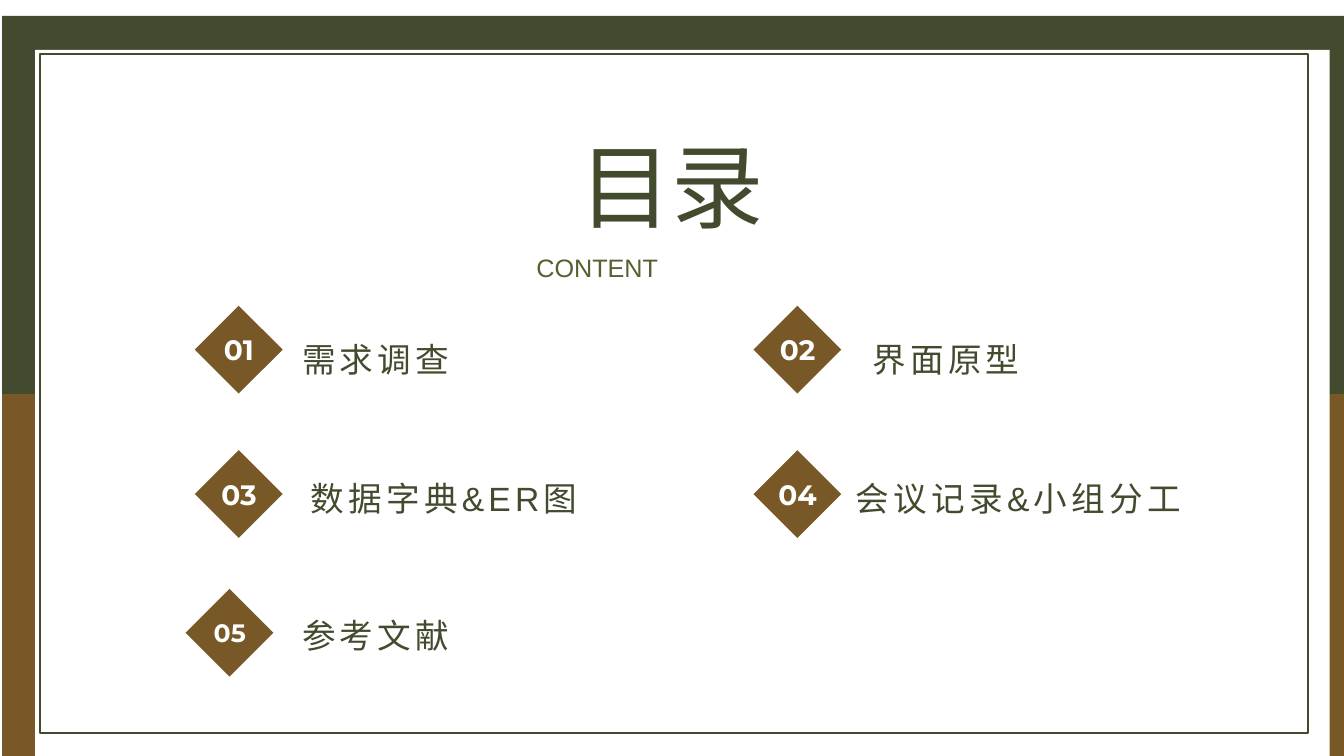
from collections import namedtuple

from lxml import etree
from pptx import Presentation
from pptx.dml.color import RGBColor
from pptx.enum.shapes import MSO_SHAPE
from pptx.enum.text import MSO_ANCHOR, MSO_AUTO_SIZE, PP_ALIGN
from pptx.oxml.ns import qn
from pptx.util import Inches, Pt

RECTANGLE, DIAMOND = MSO_SHAPE.RECTANGLE, MSO_SHAPE.DIAMOND
LEFT, CENTER, JUSTIFY = PP_ALIGN.LEFT, PP_ALIGN.CENTER, PP_ALIGN.JUSTIFY
TOP, MIDDLE = MSO_ANCHOR.TOP, MSO_ANCHOR.MIDDLE
GROW, FIXED = MSO_AUTO_SIZE.SHAPE_TO_FIT_TEXT, MSO_AUTO_SIZE.NONE

GREEN, BROWN, WHITE, OLIVE = "434B2F", "795827", "FFFFFF", "576031"
LATIN, HAN, NUMERAL = "Arial", "Noto Sans CJK SC", "Montserrat"
GRID_COLUMNS, GRID_ROWS = 160, 90
BADGE = 10.45
ENTRY_COLUMNS = (0, 66.5)
ENTRY_ROWS = (0, 17.2, 33.7)
LABEL_DROPS = (3.3, 2.7, 2.5)

Box = namedtuple("Box", "left top width height")
Entry = namedtuple("Entry", "number column row label indent width shift size")

ENTRIES = (
    Entry("01", 0, 0, [("需求调查", HAN)], 11.6, 45.5, 0, 20),
    Entry("02", 1, 0, [("界面原型", HAN)], 13, 45.5, 0, 20),
    Entry("03", 0, 1, [("数据字典", HAN), ("&ER", LATIN), ("图", HAN)], 12.6, 45.5, 0, 20),
    Entry("04", 1, 1, [("会议记录", HAN), ("&", LATIN), ("小组分工", HAN)], 11, 45.5, 0, 20),
    Entry("05", 0, 2, [("参考文献", HAN)], 12.7, 34, -1.1, 18),
)

deck = Presentation()
deck.slide_width, deck.slide_height = Inches(13.33), Inches(7.5)
page = deck.slides.add_slide(deck.slide_layouts[6])


def color(value):
    return RGBColor.from_string(value)


def within(box, left, top, width, height):
    return Box(box.left + left, box.top + top, width, height)


def on_page(box):
    column, row = deck.slide_width / GRID_COLUMNS, deck.slide_height / GRID_ROWS
    return [round(length * unit) for length, unit in zip(box, (column, row, column, row))]


def add_block(box, kind, fill=None, line=None):
    block = page.shapes.add_shape(kind, *on_page(box))
    block.shadow.inherit = False
    if fill:
        block.fill.solid()
        block.fill.fore_color.rgb = color(fill)
    else:
        block.fill.background()
    if line:
        block.line.color.rgb = color(line)
        block.line.width = Pt(1.5)
    else:
        block.line.fill.background()


def add_text(box, runs, size, ink, align=LEFT, anchor=TOP, inset=0, bold=False,
             spacing=0, wrap=True, fit=GROW):
    frame = page.shapes.add_textbox(*on_page(box)).text_frame
    frame.word_wrap = wrap
    frame.auto_size = fit
    frame.vertical_anchor = anchor
    frame.margin_left = frame.margin_right = Inches(inset)
    frame.margin_top = frame.margin_bottom = Inches(inset / 2)
    para = frame.paragraphs[0]
    para.alignment = align
    for words, face in runs:
        span = para.add_run()
        span.text = words
        span.font.name = face
        span.font.size = Pt(size)
        span.font.bold = bold
        span.font.color.rgb = color(ink)
        properties = span.font._element
        etree.SubElement(properties, qn("a:ea")).set("typeface", face)
        if spacing:
            properties.set("spc", str(spacing * 100))


def draw_frame(box):
    half = box.height / 2
    add_block(within(box, 0, half, box.width, half), RECTANGLE, BROWN)
    add_block(within(box, 0, 0, box.width, half), RECTANGLE, GREEN)
    add_block(within(box, 3.95, 4.05, 154.1, 84.5), RECTANGLE, WHITE)
    add_block(within(box, 4.5, 4.5, 151, 80.9), RECTANGLE, line=GREEN)


def draw_heading(box):
    add_text(within(box, 5, 0, 22.2, 13.3), [("目录", HAN)], 66, GREEN, CENTER, wrap=False)
    add_text(within(box, 0, 14.6, box.width, 3.6), [("CONTENT", LATIN)], 18, OLIVE, JUSTIFY)


def draw_entry(box, entry):
    badge = within(box, entry.shift, 0, BADGE, BADGE)
    add_block(badge, DIAMOND, BROWN)
    add_text(within(badge, 1.05, 2.1, 8.4, 6.25), [(entry.number, NUMERAL)], entry.size,
             WHITE, CENTER, MIDDLE, bold=True, fit=FIXED)
    add_text(within(badge, entry.indent, LABEL_DROPS[entry.row], entry.width, 6),
             entry.label, 24, GREEN, inset=0.1, spacing=3)


def draw_contents(box):
    for entry in ENTRIES:
        cell = within(box, ENTRY_COLUMNS[entry.column], ENTRY_ROWS[entry.row], 66.5, 17)
        draw_entry(cell, entry)


draw_frame(Box(0.25, 1.9, 160, 90))
draw_heading(Box(63.85, 15.4, 32.3, 18.2))
draw_contents(Box(23.2, 36.4, 133, 44.1))
deck.save("out.pptx")
